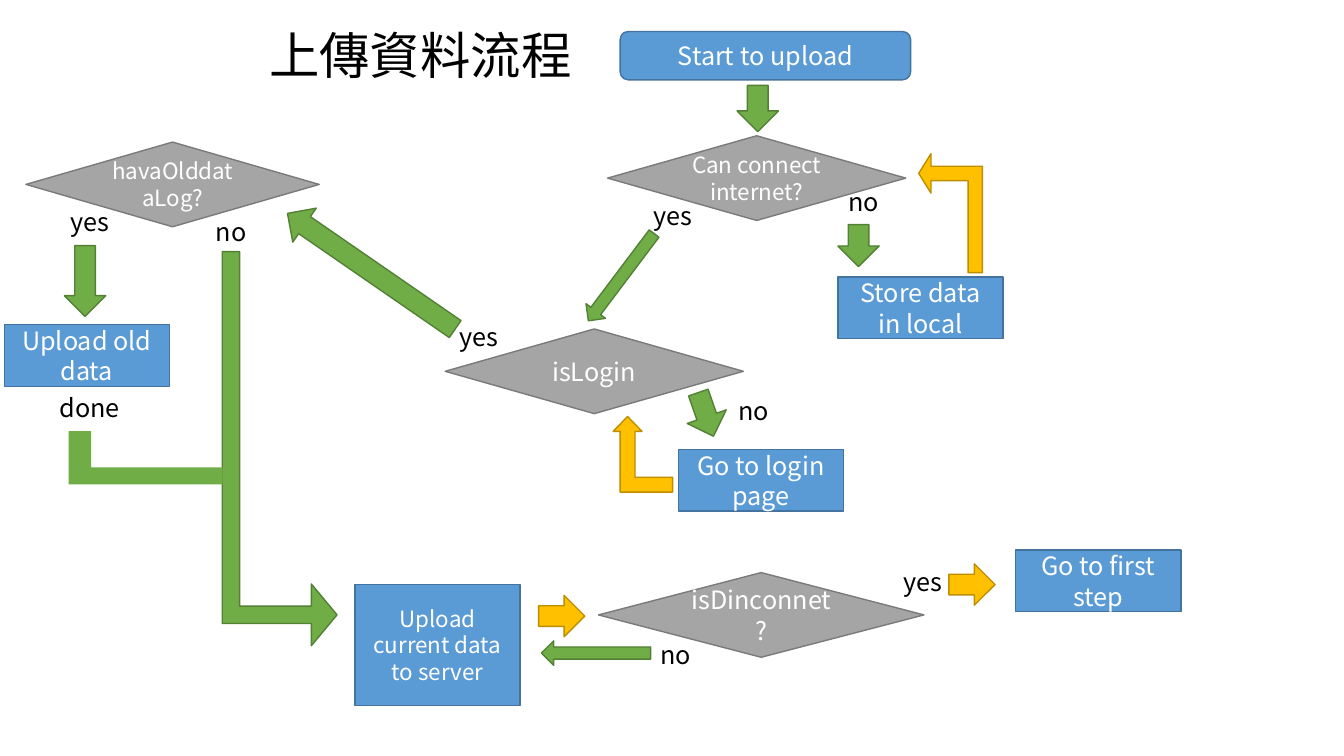
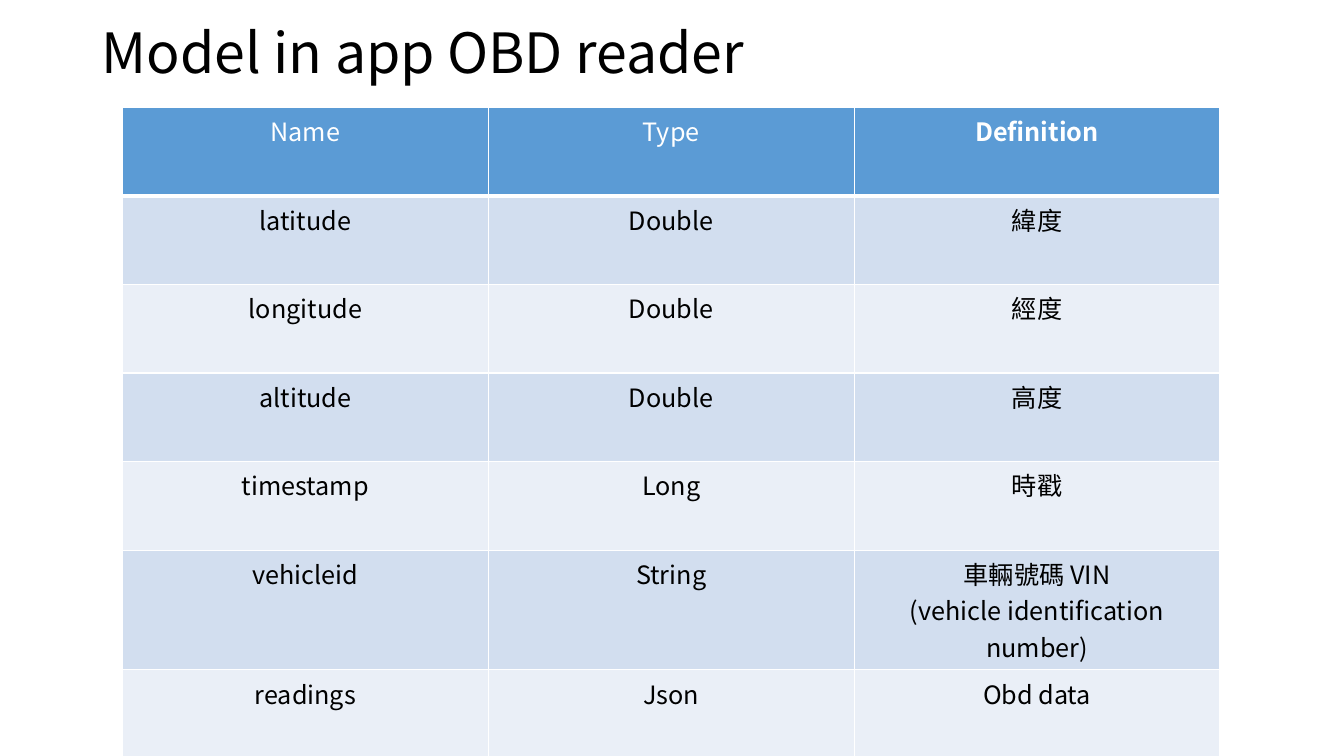
import pptx
import pptx.dml.color
import pptx.enum.shapes
import pptx.enum.text
import pptx.oxml.ns
import pptx.util
from lxml import etree

Pt = pptx.util.Pt
SHAPES = pptx.enum.shapes.MSO_SHAPE
ALIGN = pptx.enum.text.PP_ALIGN
ANCHOR = pptx.enum.text.MSO_ANCHOR

FONT = "Noto Sans CJK SC"
COLORS = {
    "white": "FFFFFF", "black": "000000",
    "blue": "5B9BD5", "blue_edge": "43739E",
    "gray": "A5A5A5", "gray_edge": "7A7A7A",
    "green": "70AD47", "green_edge": "538035",
    "gold": "FFC000", "gold_edge": "BD8E00",
    "band_dark": "D2DEEF", "band_light": "EAEFF7",
}
TITLE_ONLY = 5

# Flow steps: text, left, top, height, text size
STEP_WIDTH, STEP_HEIGHT = 118, 44
STEPS = [
    ("Go to login page", 484.5, 321, STEP_HEIGHT, 18),
    ("Upload current data to server", 253.5, 417.5, 86.5, 16),
    ("Store data in local", 598.5, 198, STEP_HEIGHT, 18),
    ("Upload old data", 3, 232, STEP_HEIGHT, 18),
    ("Go to first step", 725.5, 393, STEP_HEIGHT, 18),
]
# Decisions: text, left, top, width, text size
DECISION_HEIGHT = 60.5
DECISIONS = [
    ("isLogin", 318, 235, 213, 18),
    ("isDinconnet?", 427.5, 409, 232.5, 18),
    ("Can connect internet?", 434, 97, 213, 16),
    ("havaOlddataLog?", 18.5, 101.5, 209.5, 16),
]
# Straight arrows: color, left, top, width, length, rotation
WIDE, NARROW = 29.5, 17.5
STRAIGHT_ARROWS = [
    ("green", 435, 159, NARROW, 78, 37),
    ("green", 250.5, 121, WIDE, 145.5, 124.6),
    ("green", 489.5, 279.5, WIDE, 33, 340.8),
    ("green", 598.5, 160.5, WIDE, 30, 0),
    ("green", 526.5, 61, WIDE, 33, 0),
    ("green", 46, 175.5, WIDE, 50.5, 0),
    ("gold", 386.5, 423.5, WIDE, 33, 270),
    ("gold", 679.5, 401, WIDE, 33, 270),
    ("green", 417, 427.5, NARROW, 78, 90),
]
# Bent arrows: color, box, adjustments, rotation, mirrored
BENT_ARROWS = [
    ("gold", (636.5, 129.5, 85, 45.5), (0.225, 0.31, 0.193), 270, False),
    ("green", (59, 279.5, 281.5, 82), (0.151, 0.269, 0.224), 90, False),
    ("gold", (438, 297.5, 42.5, 54), (0.25, 0.242, 0.25), 0, True),
]
# Branch labels: text, left, top
LABEL_WIDTHS = {"yes": 43, "no": 40.5, "done": 58}
LABEL_HEIGHT = 29
LABELS = [
    ("yes", 321, 226), ("no", 520.5, 278.5), ("yes", 638, 400.5),
    ("no", 464.5, 453), ("yes", 459.5, 139), ("no", 599, 129.5),
    ("no", 147, 150.5), ("yes", 43, 144), ("done", 35.5, 276.5),
]

MODEL_ROWS = [
    ("Name", "Type", "Definition"),
    ("latitude", "Double", "緯度"),
    ("longitude", "Double", "經度"),
    ("altitude", "Double", "高度"),
    ("timestamp", "Long", "時戳"),
    ("vehicleid", "String", "車輛號碼 VIN\n(vehicle identification number)"),
    ("readings", "Json", "Obd data"),
]


def rgb(name):
    return pptx.dml.color.RGBColor.from_string(COLORS[name])


def write_text(frame, text, *, size=18, color="black", align=ALIGN.LEFT,
               bold=False, line_spacing=1.0):
    """Fill a text frame, one paragraph for each line of text."""
    frame.word_wrap = True
    for index, line in enumerate(text.split("\n")):
        paragraph = frame.add_paragraph() if index else frame.paragraphs[0]
        paragraph.alignment = align
        paragraph.line_spacing = line_spacing
        run = paragraph.add_run()
        run.text = line
        run.font.size = Pt(size)
        run.font.bold = bold
        run.font.color.rgb = rgb(color)
        run.font.name = FONT
        east_asian = etree.SubElement(run.font._element, pptx.oxml.ns.qn("a:ea"))
        east_asian.set("typeface", FONT)


def add_title(slide, text, box, **text_format):
    title = slide.shapes.title
    title.left, title.top, title.width, title.height = map(Pt, box)
    title.text_frame.auto_size = pptx.enum.text.MSO_AUTO_SIZE.NONE
    title.text_frame.vertical_anchor = ANCHOR.MIDDLE
    write_text(title.text_frame, text, **text_format)


def add_block(slide, kind, box, color, *, outlined=True, rotation=0,
              adjustments=(), mirrored=False):
    shape = slide.shapes.add_shape(kind, *map(Pt, box))
    shape.shadow.inherit = False
    shape.fill.solid()
    shape.fill.fore_color.rgb = rgb(color)
    if outlined:
        shape.line.color.rgb = rgb(color + "_edge")
        shape.line.width = Pt(1)
    else:
        shape.line.fill.background()
    shape.rotation = rotation
    for index, value in enumerate(adjustments):
        shape.adjustments[index] = value
    if mirrored:
        shape._element.spPr.xfrm.set("flipH", "1")
    return shape


def add_node(slide, kind, text, box, color, size):
    shape = add_block(slide, kind, box, color)
    shape.text_frame.vertical_anchor = ANCHOR.MIDDLE
    write_text(shape.text_frame, text, size=size, color="white",
               align=ALIGN.CENTER)


def add_label(slide, text, left, top):
    box = (left, top, LABEL_WIDTHS[text], LABEL_HEIGHT)
    label = slide.shapes.add_textbox(*map(Pt, box))
    label.text_frame.vertical_anchor = ANCHOR.MIDDLE
    write_text(label.text_frame, text)


def set_borders(cell, **widths):
    properties = cell._tc.get_or_add_tcPr()
    for side in "LRTB":
        line = etree.SubElement(properties, pptx.oxml.ns.qn("a:ln" + side))
        line.set("w", str(int(Pt(widths.get(side, 1)))))
        fill = etree.SubElement(line, pptx.oxml.ns.qn("a:solidFill"))
        color = etree.SubElement(fill, pptx.oxml.ns.qn("a:srgbClr"))
        color.set("val", COLORS["white"])


def add_model_table(slide, rows, left, top, column_width, row_height):
    columns = len(rows[0])
    table = slide.shapes.add_table(
        len(rows), columns, Pt(left), Pt(top),
        Pt(column_width * columns), Pt(row_height * len(rows))).table
    for column in table.columns:
        column.width = Pt(column_width)
    for row_index, values in enumerate(rows):
        table.rows[row_index].height = Pt(row_height)
        header = row_index == 0
        band = "band_dark" if row_index % 2 else "band_light"
        for column_index, value in enumerate(values):
            cell = table.cell(row_index, column_index)
            set_borders(cell, B=3 if header else 1)
            cell.fill.solid()
            cell.fill.fore_color.rgb = rgb("blue" if header else band)
            write_text(cell.text_frame, value, align=ALIGN.CENTER,
                       color="white" if header else "black",
                       bold=value == "Definition")


def build_upload_flow(slide):
    add_title(slide, "上傳資料流程", (185, 13, 233.5, 51), size=36)

    # Steps and decisions
    add_node(slide, SHAPES.ROUNDED_RECTANGLE, "Start to upload",
             (443, 22.5, 207.5, 34.5), "blue", 18)
    for text, left, top, height, size in STEPS:
        add_node(slide, SHAPES.RECTANGLE, text,
                 (left, top, STEP_WIDTH, height), "blue", size)
    for text, left, top, width, size in DECISIONS:
        add_node(slide, SHAPES.DIAMOND, text,
                 (left, top, width, DECISION_HEIGHT), "gray", size)

    # Arrows
    for color, left, top, width, length, rotation in STRAIGHT_ARROWS:
        add_block(slide, SHAPES.DOWN_ARROW, (left, top, width, length), color,
                  rotation=rotation)
    for color, box, adjustments, rotation, mirrored in BENT_ARROWS:
        add_block(slide, SHAPES.BENT_UP_ARROW, box, color, rotation=rotation,
                  adjustments=adjustments, mirrored=mirrored)
    add_block(slide, SHAPES.CORNER, (49, 308, 110, 38), "green",
              outlined=False, adjustments=(0.322, 0.423))

    # Branch labels
    for text, left, top in LABELS:
        add_label(slide, text, left, top)


def build_model(slide):
    add_title(slide, "Model in app OBD reader", (65.5, 13, 828, 54),
              size=39.6, line_spacing=0.9)
    add_model_table(slide, MODEL_ROWS, 87.5, 76.5, 261.3, 63.3)


def main():
    presentation = pptx.Presentation()
    presentation.slide_width, presentation.slide_height = Pt(960), Pt(540)
    layout = presentation.slide_layouts[TITLE_ONLY]
    for build in (build_upload_flow, build_model):
        build(presentation.slides.add_slide(layout))
    presentation.save("out.pptx")


main()
